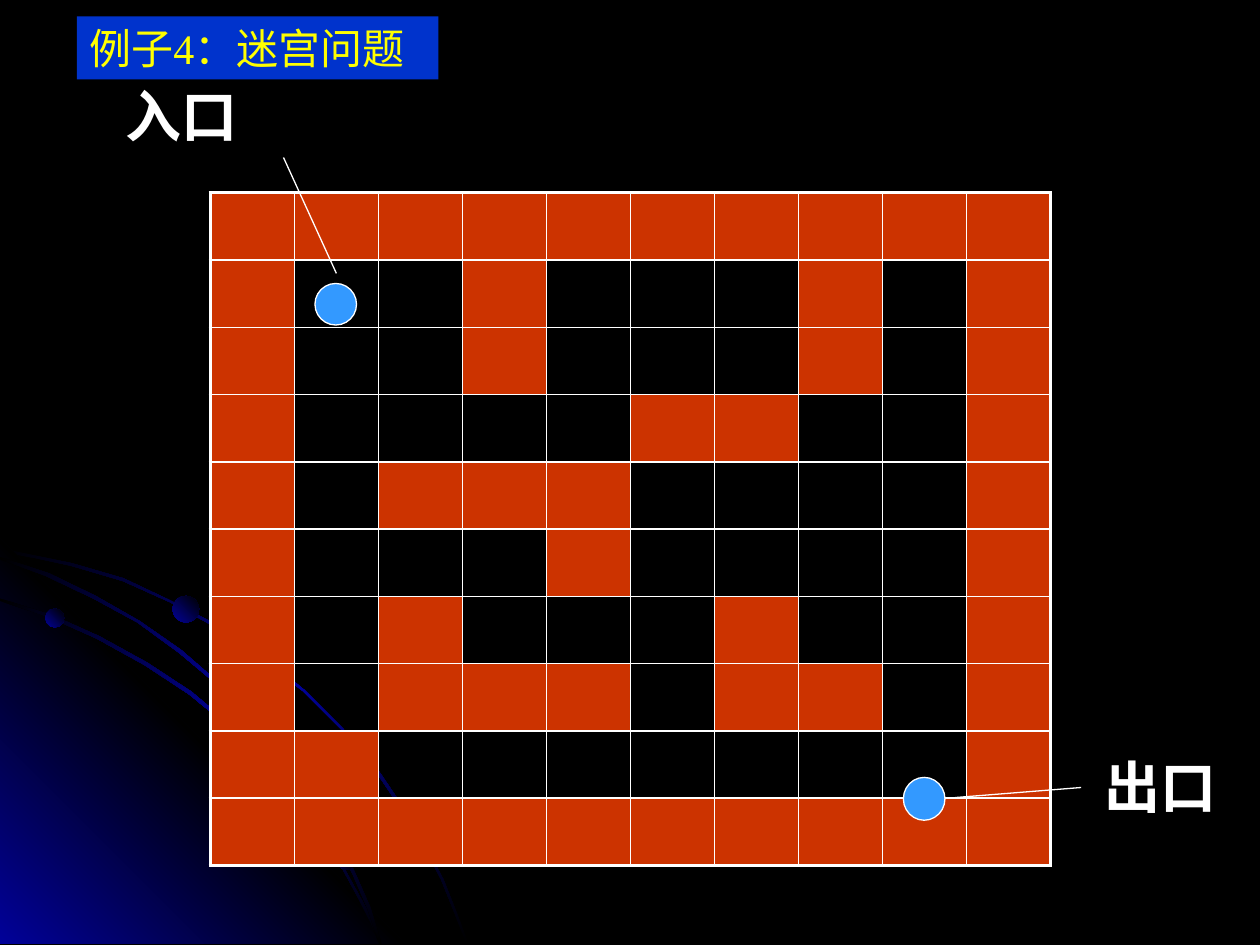
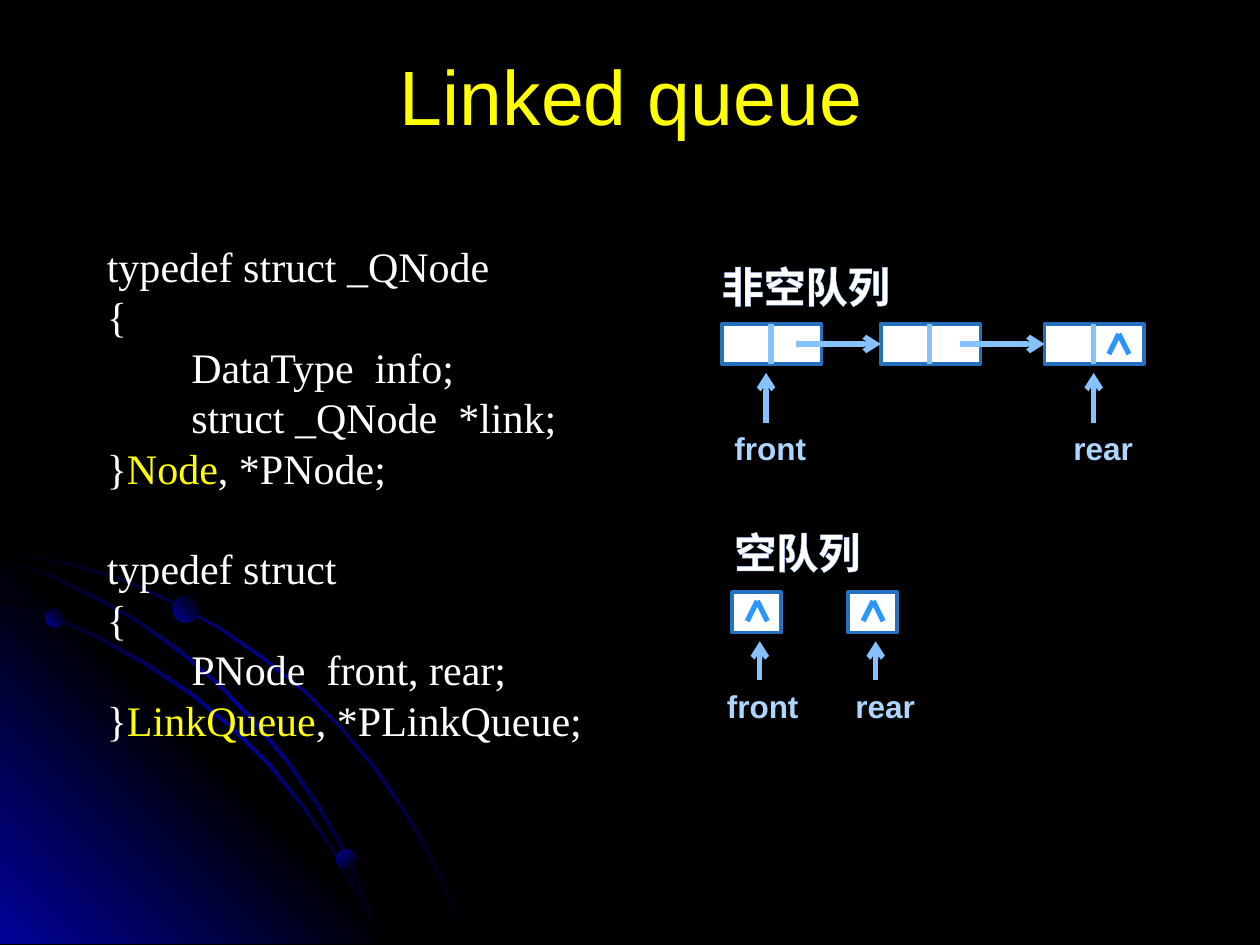
import lxml.etree
import pptx
import pptx.dml.color
import pptx.enum.shapes
import pptx.enum.text
import pptx.oxml.ns
import pptx.util

RGB = pptx.dml.color.RGBColor
SHAPE = pptx.enum.shapes.MSO_SHAPE
ALIGN = pptx.enum.text.PP_ALIGN
ANCHOR = pptx.enum.text.MSO_ANCHOR
qn = pptx.oxml.ns.qn

PX = 9144  # 100 px to the inch
TITLE_ONLY = 5

BLACK, WHITE = RGB(0, 0, 0), RGB(255, 255, 255)
NAVY, YELLOW = RGB(0x01, 0x01, 0x99), RGB(0xFF, 0xFF, 0)
BANNER_BLUE, DOT_BLUE = RGB(0, 0x33, 0xCC), RGB(0x33, 0x99, 0xFF)
WALL_RED = RGB(0xCC, 0x33, 0)
NODE_EDGE, ARROW_BLUE = RGB(0x26, 0x71, 0xBD), RGB(0x85, 0xC2, 0xFF)
NULL_BLUE, NAME_BLUE = RGB(0x2D, 0x96, 0xFE), RGB(0xAD, 0xD6, 0xFF)
GLYPH_EDGE = RGB(0xAD, 0xCA, 0xFF)
CJK_FONT = "Noto Sans CJK SC"

# Text formats
BANNER = dict(size=24, name="Times New Roman", color=YELLOW)
HEADING = dict(size=44, name="Arial", color=YELLOW)
GATE = dict(size=32, name=CJK_FONT, color=WHITE, bold=True)
CAPTION = dict(size=24, name="Arial", color=WHITE, bold=True)
POINTER = dict(size=18, name="Arial", color=NAME_BLUE, bold=True)
CODE = dict(size=24, name="Times New Roman", color=WHITE)
CODE_KEY = dict(CODE, color=YELLOW)

# Background: tapered arcs, a corner wedge and beads on the master
ARC_STOPS = (BLACK, NAVY, BLACK)
BACKDROP_OUTLINES = [
    (ARC_STOPS, 45, [
        (57, 447), (28, 441), (0, 435), (0, 438), (28, 443), (56, 449), (97, 461),
        (135, 478), (173, 499), (208, 523), (241, 549), (271, 579), (298, 612),
        (323, 649), (337, 673), (350, 698), (360, 723), (370, 749), (372, 749),
        (362, 723), (352, 698), (339, 673), (325, 648), (300, 611), (272, 578),
        (242, 548), (209, 521), (174, 497), (136, 477), (98, 459)]),
    ((NAVY, BLACK, NAVY), 315, [(322, 749), (0, 749), (0, 427)]),
    (ARC_STOPS, 45, [
        (285, 714), (294, 732), (301, 749), (303, 749), (296, 730), (286, 712),
        (266, 676), (242, 640), (215, 606), (184, 576), (152, 549), (117, 526),
        (79, 505), (41, 488), (0, 475), (0, 477), (39, 490), (77, 507), (115, 528),
        (150, 551), (183, 578), (213, 608), (240, 641), (265, 677)]),
    (ARC_STOPS, 45, [
        (0, 442), (0, 444), (36, 457), (74, 475), (109, 494), (142, 518), (173, 544),
        (202, 575), (227, 605), (252, 641), (267, 667), (280, 694), (292, 722),
        (301, 749), (303, 749), (294, 720), (282, 693), (269, 665), (254, 639),
        (229, 603), (204, 573), (175, 543), (144, 516), (111, 493), (76, 473),
        (39, 455)]),
]
BEADS = [((36, 483, 15, 15), 315), ((267, 674, 16, 16), 45), ((137, 473, 21, 21), 315)]

# Maze slide
MAZE_TITLE = "例子4：迷宫问题"
MAZE = [
    "##########",
    "#..#...#.#",
    "#..#...#.#",
    "#....##..#",
    "#.###....#",
    "#...#....#",
    "#.#...#..#",
    "#.###.##.#",
    "##.......#",
    "##########",
]
MAZE_AREA = (167, 153, 667, 534)
GATES = [  # label, label area, dot area, line ends
    ("入口", (90, 60, 126, 63), (250, 225, 33, 33), (267, 217, 225, 125)),
    ("出口", (867, 592, 114, 64), (717, 617, 33, 34), (758, 633, 858, 625)),
]

# Queue slide: code lines are (indented, space before, spans)
QUEUE_TITLE = "Linked queue"
LINE_HEIGHT, CODE_INDENT = 28.8, 67
CODE_LINES = [
    (False, 0, [("typedef struct _QNode", CODE)]),
    (False, 0, [("{", CODE)]),
    (True, 0, [("DataType  info;", CODE)]),
    (True, 0, [("struct _QNode  *link;", CODE)]),
    (False, 0, [("}", CODE), ("Node", CODE_KEY), (", *PNode;", CODE)]),
    (False, LINE_HEIGHT, [("typedef struct", CODE)]),
    (False, 0, [("{", CODE)]),
    (True, 0, [("PNode  front, rear;", CODE)]),
    (False, 0, [("}", CODE), ("LinkQueue", CODE_KEY), (", *PLinkQueue;", CODE)]),
]
CELL_WIDTH, CELL_HEIGHT = 39, 32
NODES_TOP, NODES = 257, (573, 699, 829)
EMPTY_TOP, EMPTY_CELLS = 470, (581, 673)
LINKS = [(632, 699), (762, 829)]
NULL_MARKS = [(888, 265), (601, 477), (693, 477)]
POINTERS = [  # name, label left, label width, arrow x, arrow foot, arrow tip
    ("front", 573, 82, 608, 336, 296),
    ("rear", 842, 69, 868, 336, 296),
    ("front", 567, 82, 603, 540, 509),
    ("rear", 669, 69, 695, 540, 509),
]
CAPTIONS = [("非空队列", (563, 202, 186, 50)), ("空队列", (573, 413, 186, 50))]


def px(values):
    return [round(value * PX) for value in values]


def child(parent, tag, **attributes):
    return lxml.etree.SubElement(parent, qn(tag), attributes)


def solid(parent, color):
    child(child(parent, "a:solidFill"), "a:srgbClr", val=str(color))


# Text
def add_span(para, text, look, outlined=False):
    span = para.add_run()
    span.text = text
    values = dict(look, size=pptx.util.Pt(look["size"]))
    span.font.color.rgb = values.pop("color")
    for key, value in values.items():
        setattr(span.font, key, value)
    props = span.font._element
    child(props, "a:ea", typeface=CJK_FONT)
    if outlined:
        edge = child(props, "a:ln", w="10160")
        solid(edge, GLYPH_EDGE)
        props.insert(0, edge)


def add_label(page, text, area, look, outlined=False):
    box = page.shapes.add_textbox(*px(area))
    box.text_frame.word_wrap = True
    add_span(box.text_frame.paragraphs[0], text, look, outlined)


def set_title(page, text, area, look, align, wrap=True):
    title = page.shapes.title
    title.left, title.top, title.width, title.height = px(area)
    settings = dict(word_wrap=wrap, vertical_anchor=ANCHOR.MIDDLE,
                    auto_size=pptx.enum.text.MSO_AUTO_SIZE.NONE)
    for key, value in settings.items():
        setattr(title.text_frame, key, value)
    para = title.text_frame.paragraphs[0]
    para.alignment = align
    add_span(para, text, look)
    return title


# Shapes and lines
def add_figure(page, kind, area, fill, edge, weight):
    figure = page.shapes.add_shape(kind, *px(area))
    figure.shadow.inherit = False
    figure.fill.solid()
    figure.fill.fore_color.rgb = fill
    figure.line.color.rgb = edge
    figure.line.width = pptx.util.Pt(weight)


def add_line(page, ends, color, weight, arrow=False):
    line = page.shapes.add_connector(pptx.enum.shapes.MSO_CONNECTOR.STRAIGHT, *px(ends))
    line.line.color.rgb = color
    line.line.width = pptx.util.Pt(weight)
    if arrow:
        child(line.line._get_or_add_ln(), "a:tailEnd", type="arrow")
    child(line._element.spPr, "a:effectLst")


def paint_gradient(shape, stops, angle):
    shape.shadow.inherit = False
    shape.line.fill.background()
    shape.fill.gradient()
    gradient = shape._element.spPr.find(qn("a:gradFill"))
    for part in list(gradient):
        gradient.remove(part)
    stop_list = child(gradient, "a:gsLst")
    for index, color in enumerate(stops):
        place = 100000 * index // (len(stops) - 1)
        child(child(stop_list, "a:gs", pos=str(place)), "a:srgbClr", val=str(color))
    child(gradient, "a:lin", ang=str(angle * 60000), scaled="0")


def build_backdrop(deck, page):
    """Draw the backdrop on a page, then move it behind everything on the master."""
    master = deck.slide_master
    master.background.fill.solid()
    master.background.fill.fore_color.rgb = BLACK
    drawn = []
    for stops, angle, points in BACKDROP_OUTLINES:
        builder = page.shapes.build_freeform(*points[0], scale=PX)
        builder.add_line_segments(points[1:], close=True)
        drawn.append((builder.convert_to_shape(), stops, angle))
    for area, angle in BEADS:
        bead = page.shapes.add_shape(SHAPE.OVAL, *px(area))
        drawn.append((bead, (NAVY, BLACK), angle))
    tree = master.shapes._spTree
    for index, (shape, stops, angle) in enumerate(drawn):
        paint_gradient(shape, stops, angle)
        shape._element.nvSpPr.cNvPr.set("id", str(100 + index))
        tree.insert(2 + index, shape._element)


# Maze
def add_maze(page):
    count = len(MAZE)
    left, top, width, height = px(MAZE_AREA)
    table = page.shapes.add_table(count, count, left, top, width, height).table
    table.first_row = table.horz_banding = False
    for index in range(count):
        table.columns[index].width = width // count
        table.rows[index].height = height // count
    last = count - 1
    for row, marks in enumerate(MAZE):
        for column, mark in enumerate(marks):
            cell = table.cell(row, column)
            props = cell._tc.get_or_add_tcPr()
            sides = dict(L=column == 0, R=column == last, T=row == 0, B=row == last)
            for side, outer in sides.items():
                weight = pptx.util.Pt(2.25 if outer else 1)
                solid(child(props, "a:ln" + side, w=str(weight)), WHITE)
            if mark == "#":
                cell.fill.solid()
                cell.fill.fore_color.rgb = WALL_RED
            else:
                cell.fill.background()


def build_maze_page(page):
    banner = set_title(page, MAZE_TITLE, (61, 13, 287, 50), BANNER, ALIGN.LEFT, wrap=False)
    banner.fill.solid()
    banner.fill.fore_color.rgb = BANNER_BLUE
    add_maze(page)
    for label, label_area, dot_area, ends in GATES:
        add_figure(page, SHAPE.OVAL, dot_area, DOT_BLUE, WHITE, 0.75)
        add_line(page, ends, WHITE, 0.75)
        add_label(page, label, label_area, GATE)


# Linked queue
def add_code(page):
    box = page.shapes.add_textbox(*px((75, 186, 417, 414)))
    frame = box.text_frame
    frame.word_wrap = True
    for index, (indented, before, spans) in enumerate(CODE_LINES):
        para = frame.add_paragraph() if index else frame.paragraphs[0]
        para.line_spacing = pptx.util.Pt(LINE_HEIGHT)
        para.space_before = pptx.util.Pt(before)
        if indented:
            para._p.get_or_add_pPr().set("marL", str(CODE_INDENT * PX))
        for text, look in spans:
            add_span(para, text, look)


def build_queue_page(page):
    set_title(page, QUEUE_TITLE, (51, 13, 900, 125), HEADING, ALIGN.CENTER)
    add_code(page)
    boxes = [(left, NODES_TOP, 2 * CELL_WIDTH + 1, CELL_HEIGHT) for left in NODES]
    boxes += [(left, EMPTY_TOP, CELL_WIDTH, CELL_HEIGHT) for left in EMPTY_CELLS]
    for area in boxes:
        add_figure(page, SHAPE.RECTANGLE, area, WHITE, NODE_EDGE, 2)
    for left in NODES:
        middle = left + CELL_WIDTH
        add_line(page, (middle, NODES_TOP, middle, NODES_TOP + CELL_HEIGHT), ARROW_BLUE, 3)
    link_y = NODES_TOP + CELL_HEIGHT // 2
    for start, end in LINKS:
        add_line(page, (start, link_y, end, link_y), ARROW_BLUE, 3, arrow=True)
    for x, y in NULL_MARKS:
        for reach in (-8, 8):
            add_line(page, (x + reach, y + 16, x, y), NULL_BLUE, 3)
    for name, left, width, x, foot, tip in POINTERS:
        add_line(page, (x, foot, x, tip), ARROW_BLUE, 3, arrow=True)
        add_label(page, name, (left, foot, width, 40), POINTER)
    for text, area in CAPTIONS:
        add_label(page, text, area, CAPTION, outlined=True)


def main():
    deck = pptx.Presentation()
    deck.slide_width, deck.slide_height = px((1000, 750))
    layout = deck.slide_layouts[TITLE_ONLY]
    maze_page, queue_page = (deck.slides.add_slide(layout) for _ in range(2))
    build_backdrop(deck, maze_page)
    build_maze_page(maze_page)
    build_queue_page(queue_page)
    deck.save("out.pptx")


if __name__ == "__main__":
    main()
